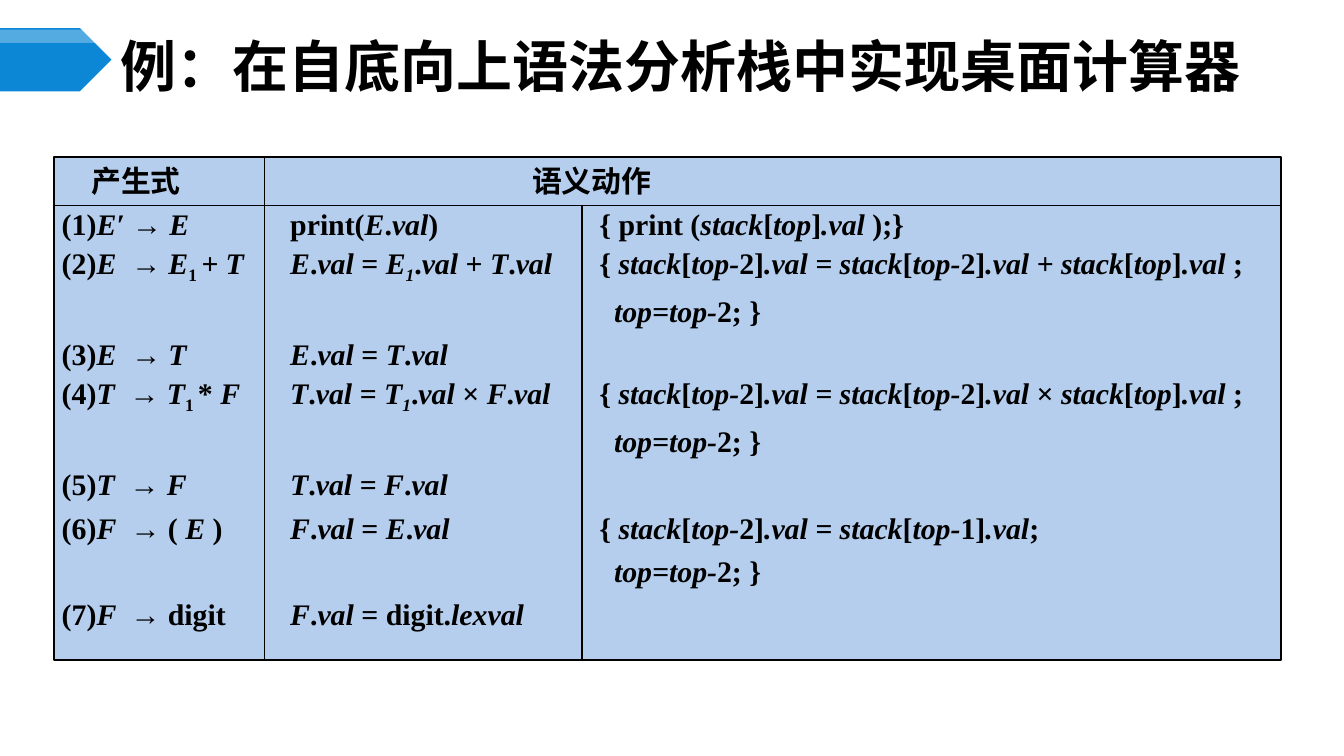
from lxml import etree
from pptx import Presentation
from pptx.dml.color import RGBColor
from pptx.enum.shapes import MSO_CONNECTOR, MSO_SHAPE
from pptx.enum.text import MSO_ANCHOR, MSO_AUTO_SIZE, PP_ALIGN
from pptx.oxml.ns import qn
from pptx.util import Inches, Pt

LATIN, CHINESE = "Times New Roman", "Noto Sans CJK SC"
LEFT, TOP, RIGHT, BOTTOM = 0.4, 1.17, 9.53, 4.91
HEADER_BOTTOM, ACTION_LEFT, STACK_LEFT = 1.53, 1.97, 4.33
INSET = 0.06


def color(value):
    return RGBColor.from_string(value)


def add_run(paragraph, text, size, latin=LATIN, italic=False):
    run = paragraph.add_run()
    run.text = text
    font = run.font
    for name, value in dict(size=Pt(size), name=latin, bold=True, italic=italic).items():
        setattr(font, name, value)
    font.color.rgb = color("000000")
    properties = run._r.get_or_add_rPr()
    etree.SubElement(properties, qn("a:ea")).set("typeface", CHINESE)
    return properties


presentation = Presentation()
presentation.slide_width = Inches(10)
presentation.slide_height = Inches(10 * 9 / 16)
slide = presentation.slides.add_slide(presentation.slide_layouts[5])

# Title with its arrow marker
title = slide.shapes.title
title.left, title.top, title.width, title.height = map(Inches, (0.83, 0.29, 8.67, 0.39))
frame = title.text_frame
frame_format = dict(
    vertical_anchor=MSO_ANCHOR.MIDDLE, auto_size=MSO_AUTO_SIZE.NONE, word_wrap=True,
    margin_left=Inches(0.07), margin_right=Inches(0.07),
    margin_top=Inches(0.04), margin_bottom=Inches(0.04),
)
for name, value in frame_format.items():
    setattr(frame, name, value)
frame.paragraphs[0].alignment = PP_ALIGN.LEFT
add_run(frame.paragraphs[0], "例：在自底向上语法分析栈中实现桌面计算器", 30, CHINESE)

for top, height, fill, opacity in [(0.21, 0.47, "0B87D6", 100), (0.22, 0.1, "FFFFFF", 30)]:
    marker = slide.shapes.add_shape(
        MSO_SHAPE.PENTAGON, Inches(0), Inches(top), Inches(0.83), Inches(height))
    marker.shadow.inherit = False
    marker.fill.solid()
    marker.fill.fore_color.rgb = color(fill)
    marker.line.fill.background()
    if opacity < 100:
        fill_color = marker.fill._xPr.find(".//" + qn("a:srgbClr"))
        etree.SubElement(fill_color, qn("a:alpha")).set("val", str(opacity * 1000))

# Panel holding the productions, semantic actions and stack code
panel = slide.shapes.add_shape(
    MSO_SHAPE.RECTANGLE, Inches(LEFT), Inches(TOP), Inches(RIGHT - LEFT), Inches(BOTTOM - TOP))
panel.shadow.inherit = False
panel.fill.solid()
panel.fill.fore_color.rgb = color("B5CEED")
panel.line.color.rgb = color("000000")
panel.line.width = Pt(1)
frame = panel.text_frame
frame_format = dict(
    vertical_anchor=MSO_ANCHOR.TOP, word_wrap=True,
    margin_left=Inches(INSET), margin_right=Inches(INSET),
    margin_top=Inches(0.03), margin_bottom=Inches(0.03),
)
for name, value in frame_format.items():
    setattr(frame, name, value)

# Slashes switch italics on and off; tildes enclose subscripts
HEADER_TABS, ROW_TABS, CONTINUED_TABS = (0.22, 3.5), (1.7, 4), (4.11,)
continued = (CONTINUED_TABS, "\t/top=top-/2; }")
lines = [
    (HEADER_TABS, "\t产生式\t语义动作"),
    (ROW_TABS, "(1)/E′ /→ /E/\tprint(/E/./val/)\t{ print (/stack/[/top/]/.val /);}"),
    (ROW_TABS, "(2)/E  /→/ E/~1 ~/+ T/\t/E/./val /=/ E~1~/./val /+ /T/./val/\t"
               "{ /stack/[/top-/2]/.val = stack/[/top-/2]/.val + stack/[/top/]/.val /;"),
    continued,
    (ROW_TABS, "(3)/E  /→/ T/\t/E/./val /= /T/./val"),
    (ROW_TABS, "(4)/T  /→/ T/~1 ~* /F/\t/T/./val /= /T~1~/./val /× /F/./val/\t"
               "{ /stack/[/top-/2]/.val = stack/[/top-/2]/.val /× /stack/[/top/]/.val /;"),
    continued,
    (ROW_TABS, "(5)/T  /→/ F/\t/T/./val /= /F/./val"),
    (ROW_TABS, "(6)/F  /→ ( /E /)\t/F/./val /= /E/./val/\t"
               "{ /stack/[/top-/2]/.val = stack/[/top-/1]/.val/;"),
    continued,
    (ROW_TABS, "(7)/F  /→ digit\t/F/./val /= digit./lexval"),
]
for number, (tabs, line) in enumerate(lines):
    paragraph = frame.add_paragraph() if number else frame.paragraphs[0]
    paragraph.alignment = PP_ALIGN.LEFT
    paragraph.line_spacing = Pt(20)
    paragraph.space_before = Pt(3.2 if number else 0)
    tab_list = etree.SubElement(paragraph._p.get_or_add_pPr(), qn("a:tabLst"))
    for position in tabs:
        tab = etree.SubElement(tab_list, qn("a:tab"))
        tab.set("pos", str(Inches(position)))
        tab.set("algn", "l")
    for part_number, part in enumerate(line.split("/")):
        for piece_number, piece in enumerate(part.split("~")):
            if piece:
                properties = add_run(paragraph, piece, 16, LATIN if number else CHINESE,
                                     italic=part_number % 2 == 1)
                if piece_number % 2:
                    properties.set("baseline", "-25000")

# Rules between the cells
rules = [
    (LEFT, HEADER_BOTTOM, RIGHT, HEADER_BOTTOM),
    (ACTION_LEFT, TOP, ACTION_LEFT, BOTTOM),
    (STACK_LEFT, HEADER_BOTTOM, STACK_LEFT, BOTTOM),
]
for ends in rules:
    rule = slide.shapes.add_connector(MSO_CONNECTOR.STRAIGHT, *map(Inches, ends))
    rule.line.color.rgb = color("000000")
    rule.line.width = Pt(0.75)
    etree.SubElement(rule._element.spPr, qn("a:effectLst"))

presentation.save("out.pptx")
